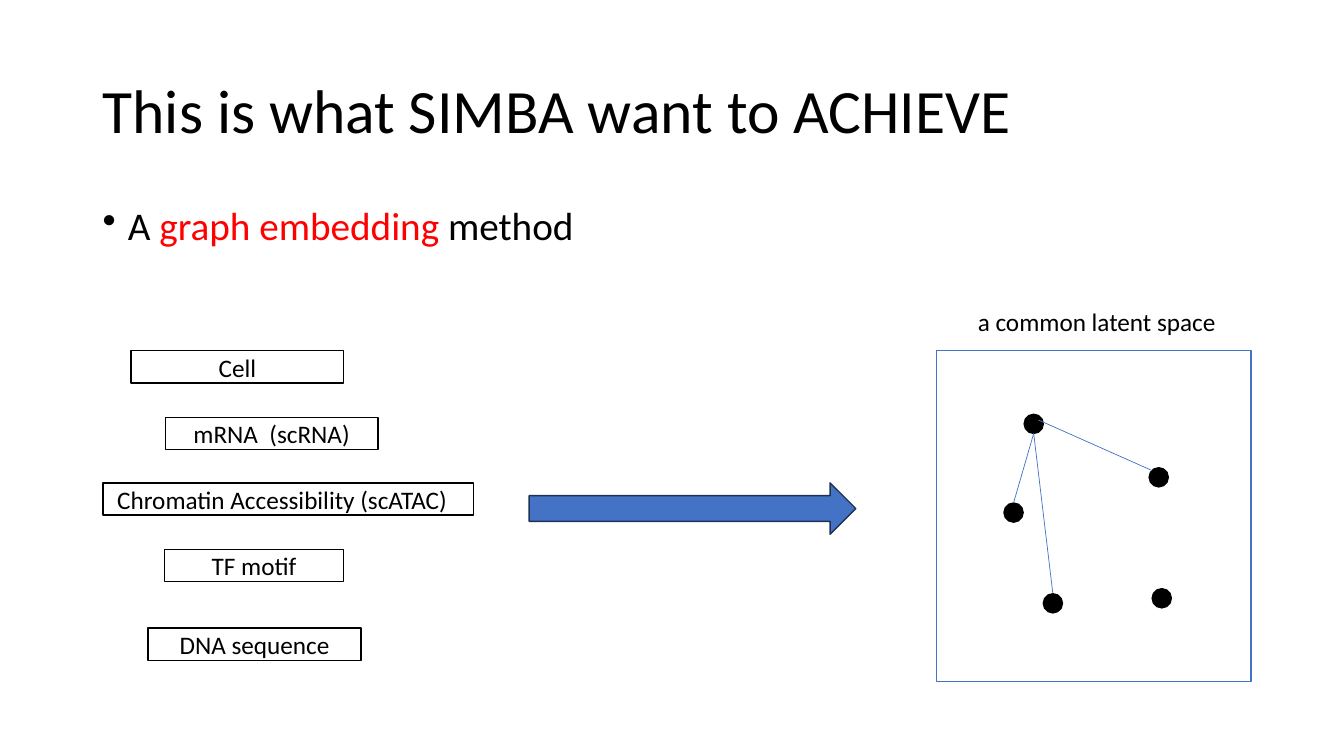
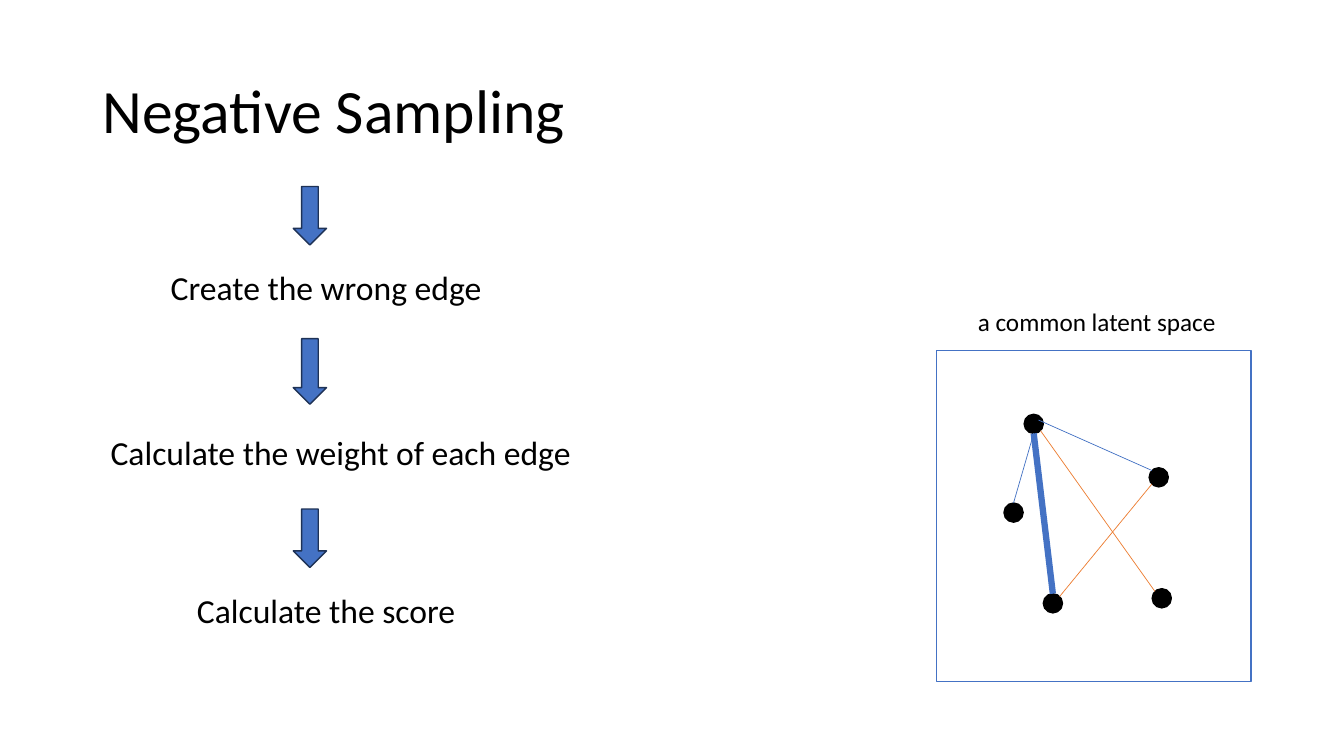
import pptx
import pptx.util
import pptx.dml.color
import pptx.enum.shapes
import pptx.enum.text
import pptx.oxml
import pptx.oxml.ns

Color = pptx.dml.color.RGBColor
Shape = pptx.enum.shapes.MSO_SHAPE
Align = pptx.enum.text.PP_ALIGN
Anchor = pptx.enum.text.MSO_ANCHOR

# Shared look
BLACK = Color(0x00, 0x00, 0x00)
WHITE = Color(0xFF, 0xFF, 0xFF)
RED = Color(0xFF, 0x00, 0x00)
BLUE = Color(0x44, 0x72, 0xC4)
NAVY = Color(0x1E, 0x32, 0x56)
ORANGE = Color(0xED, 0x7D, 0x31)
FONT = "Calibri"

# Grid of square cells, ten to the inch
COLUMNS, ROWS = 133.33, 75
MARGIN, CONTENT_WIDTH = 9.2, 115
ENTITY_HEIGHT, STEP_HEIGHT = 3.2, 3.6

# Latent space: centres of the dots, and points on a dot in shares of its radius
DOT_RADIUS = 0.95
DOTS = {
    "hub": (102.55, 42.05),
    "left": (100.55, 50.85),
    "bottom": (104.45, 59.85),
    "right": (114.95, 47.35),
    "far": (115.25, 59.35),
}
DOT_POINTS = {
    "N": (0, -1), "S": (0, 1), "NE": (0.71, -0.71), "NW": (-0.71, -0.71),
    "SE": (0.71, 0.71), "SW": (-0.71, 0.71), "inner": (0.5, -0.4),
}
# Edge: start dot and point, end dot and point, colour, width
TRUE_EDGES = [
    ("hub", "S", "left", "N", BLUE, 0.5),
    ("hub", "S", "bottom", "N", BLUE, 0.5),
    ("hub", "inner", "right", "NW", BLUE, 0.5),
]
WRONG_EDGES = [
    ("right", "SW", "bottom", "NE", ORANGE, 0.5),
    ("hub", "SE", "far", "NW", ORANGE, 0.5),
]
WEIGHTED_EDGE = ("hub", "S", "bottom", "N", BLUE, 4.5)

# Entity: text, left, top, width, extra inset on the right
ENTITIES = [
    ("Cell", 13, 34.8, 21.1, 0),
    ("mRNA  (scRNA)", 16.4, 41.4, 21.1, 0),
    ("Chromatin Accessibility (scATAC)", 10.2, 47.9, 36.8, 1.2),
    ("TF motif", 16.3, 54.5, 17.8, 0),
    ("DNA sequence", 14.7, 62.3, 21.1, 0),
]
# Step: text, left, top, width, then top and height of the arrow leading to it
STEPS = [
    ("Create the wrong edge", 15, 26.7, 34.7, 18.5, 5.8),
    ("Calculate the weight of each edge", 5, 43.1, 57.6, 33.6, 6.5),
    ("Calculate the score", 15, 58.7, 34.7, 50.5, 5.8),
]


def cells(count):
    return pptx.util.Inches(count / 10)


def write(frame, runs, size, align=Align.LEFT, anchor=Anchor.MIDDLE,
          spacing=1.0, bullet=False, right_extra=0):
    """Fill a text frame with one paragraph of (text, colour) runs."""
    frame.word_wrap = True
    frame.vertical_anchor = anchor
    frame.margin_right = cells(1 + right_extra)
    paragraph = frame.paragraphs[0]
    paragraph.alignment = align
    paragraph.line_spacing = spacing
    if bullet:
        properties = paragraph._p.get_or_add_pPr()
        properties.set("marL", str(cells(2.5)))
        properties.set("indent", str(-cells(2.5)))
        properties.append(pptx.oxml.parse_xml(
            '<a:buChar %s char="•"/>' % pptx.oxml.ns.nsdecls("a")))
    for text, color in runs:
        run = paragraph.add_run()
        run.text = text
        run.font.name = FONT
        run.font.size = pptx.util.Pt(size)
        run.font.color.rgb = color


def add_text(slide, area, runs, size, **style):
    box = slide.shapes.add_textbox(*map(cells, area))
    write(box.text_frame, runs, size, **style)


def add_block(slide, kind, area, fill, line):
    block = slide.shapes.add_shape(kind, *map(cells, area))
    block.shadow.inherit = False
    if fill is None:
        block.fill.background()
    else:
        block.fill.solid()
        block.fill.fore_color.rgb = fill
    block.line.color.rgb = line
    block.line.width = pptx.util.Pt(1)
    return block


def add_title(slide, text):
    add_text(slide, (MARGIN, 4, CONTENT_WIDTH, 14.5), [(text, BLACK)], 44,
             spacing=0.9)


def dot_point(dot, point):
    return [cells(center + DOT_RADIUS * share)
            for center, share in zip(DOTS[dot], DOT_POINTS[point])]


def add_edge(slide, start, start_point, end, end_point, color, width):
    edge = slide.shapes.add_connector(
        pptx.enum.shapes.MSO_CONNECTOR.STRAIGHT,
        *dot_point(start, start_point), *dot_point(end, end_point))
    edge.line.color.rgb = color
    edge.line.width = pptx.util.Pt(width)
    edge._element.spPr.append(pptx.oxml.parse_xml(
        "<a:effectLst %s/>" % pptx.oxml.ns.nsdecls("a")))


def add_latent_space(slide, edges):
    add_block(slide, Shape.RECTANGLE, (92.9, 34.8, 31.2, 32.8), WHITE, BLUE)
    for x, y in DOTS.values():
        area = (x - DOT_RADIUS, y - DOT_RADIUS, 2 * DOT_RADIUS, 2 * DOT_RADIUS)
        add_block(slide, Shape.OVAL, area, BLACK, BLACK)
    add_text(slide, (93.7, 30.3, 30.2, 3.2),
             [("a common latent space", BLACK)], 18, align=Align.CENTER)
    for edge in edges:
        add_edge(slide, *edge)


def build_goal(slide):
    add_title(slide, "This is what SIMBA want to ACHIEVE")
    add_text(slide, (MARGIN, 20, CONTENT_WIDTH, 47.6),
             [("A ", BLACK), ("graph embedding ", RED), ("method", BLACK)],
             28, anchor=Anchor.TOP, spacing=0.9, bullet=True)
    # Inputs mapped into the latent space
    for text, left, top, width, right_extra in ENTITIES:
        entity = add_block(slide, Shape.RECTANGLE,
                           (left, top, width, ENTITY_HEIGHT), None, BLACK)
        write(entity.text_frame, [(text, BLACK)], 18, align=Align.CENTER,
              right_extra=right_extra)
    add_block(slide, Shape.RIGHT_ARROW, (52.5, 47.9, 32.4, 5.1), BLUE, NAVY)
    add_latent_space(slide, TRUE_EDGES)


def build_sampling(slide):
    add_title(slide, "Negative Sampling")
    add_latent_space(slide, TRUE_EDGES + WRONG_EDGES + [WEIGHTED_EDGE])
    # Steps, each below its arrow
    for text, left, top, width, arrow_top, arrow_height in STEPS:
        step = add_block(slide, Shape.ROUNDED_RECTANGLE,
                         (left, top, width, STEP_HEIGHT), WHITE, WHITE)
        write(step.text_frame, [(text, BLACK)], 24, align=Align.CENTER)
        add_block(slide, Shape.DOWN_ARROW,
                  (29.1, arrow_top, 3.3, arrow_height), BLUE, NAVY)


def main():
    deck = pptx.Presentation()
    deck.slide_width, deck.slide_height = cells(COLUMNS), cells(ROWS)
    blank = deck.slide_layouts[6]
    for build in (build_goal, build_sampling):
        build(deck.slides.add_slide(blank))
    deck.save("out.pptx")


if __name__ == "__main__":
    main()
